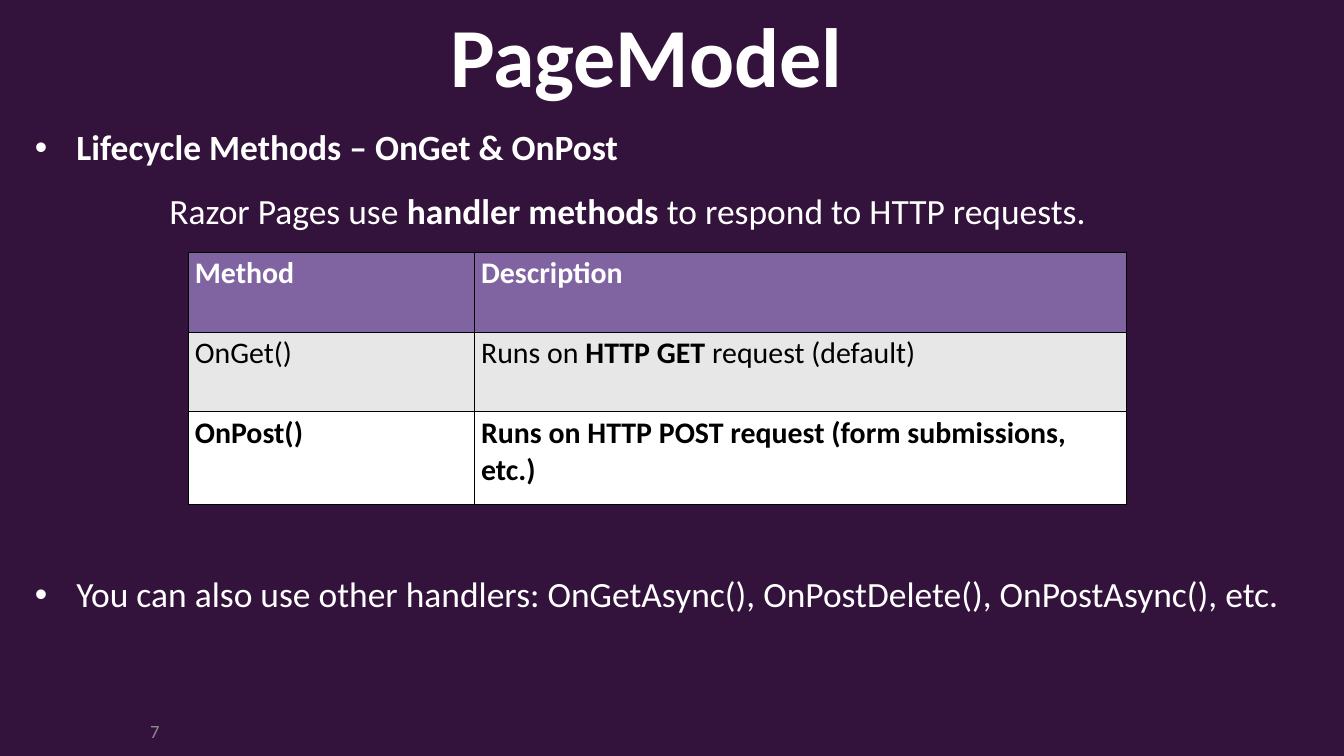
from lxml import etree
from pptx import Presentation
from pptx.dml.color import RGBColor
from pptx.enum import text
from pptx.oxml import ns
from pptx.util import Cm, Pt

FONT = "Calibri"
WHITE = "FFFFFF"
BLACK = "000000"


def color(value):
    return RGBColor.from_string(value)


def add_runs(p, parts, size, ink):
    for words, bold in parts:
        r = p.add_run()
        r.text = words
        r.font.name = FONT
        r.font.size = Pt(size)
        r.font.bold = bold
        r.font.color.rgb = color(ink)


def add_box(s, box, inset=0):
    tf = s.shapes.add_textbox(*map(Cm, box)).text_frame
    tf.word_wrap = True
    tf.margin_left = tf.margin_right = Cm(inset)
    tf.margin_top = tf.margin_bottom = Cm(inset / 2)
    return tf


def set_indent(p, left, hanging=0, bullet=None):
    pPr = p._p.get_or_add_pPr()
    pPr.set("marL", str(Cm(left)))
    pPr.set("indent", str(-Cm(hanging)))
    if bullet:
        etree.SubElement(pPr, ns.qn("a:buFont")).set("typeface", "Arial")
        etree.SubElement(pPr, ns.qn("a:buChar")).set("char", bullet)


def add_title(s, box):
    p = add_box(s, box).paragraphs[0]
    p.alignment = text.PP_ALIGN.CENTER
    add_runs(p, [("PageModel", True)], 90, WHITE)


def add_body(s, box):
    tf = add_box(s, box)
    heading = tf.paragraphs[0]
    heading.line_spacing = 1.5
    set_indent(heading, 1.57, 1.57, "•")
    add_runs(heading, [("Lifecycle Methods – OnGet & OnPost", True)], 38, WHITE)

    intro = tf.add_paragraph()
    intro.line_spacing = 1.5
    set_indent(intro, 5.08)
    add_runs(intro, [("Razor Pages use ", False), ("handler methods", True),
                     (" to respond to HTTP requests.", False)], 38, WHITE)

    others = tf.add_paragraph()
    others.space_before = Pt(365)
    set_indent(others, 1.57, 1.57, "•")
    add_runs(others, [("You can also use other handlers: OnGetAsync(), "
                       "OnPostDelete(), OnPostAsync(), etc.", False)], 38, WHITE)


def add_borders(cell):
    tcPr = cell._tc.get_or_add_tcPr()
    for side in ("lnL", "lnR", "lnT", "lnB"):
        ln = etree.SubElement(tcPr, ns.qn(f"a:{side}"), w=str(Pt(1)))
        fill = etree.SubElement(ln, ns.qn("a:solidFill"))
        etree.SubElement(fill, ns.qn("a:srgbClr"), val=BLACK)


def add_methods_table(s, box):
    rows = [
        ("8064A2", WHITE, 3.02, [[("Method", True)], [("Description", True)]]),
        ("E7E7E7", BLACK, 3.02, [
            [("OnGet()", False)],
            [("Runs on ", False), ("HTTP GET", True), (" request (default)", False)]]),
        (WHITE, BLACK, 3.51, [
            [("OnPost()", True)],
            [("Runs on HTTP POST request (form submissions, etc.)", True)]]),
    ]
    table = s.shapes.add_table(len(rows), 2, *map(Cm, box)).table
    for column, width in zip(table.columns, (10.82, 24.64)):
        column.width = Cm(width)
    for row, (fill, ink, height, contents) in zip(table.rows, rows):
        row.height = Cm(height)
        for cell, parts in zip(row.cells, contents):
            add_borders(cell)
            cell.fill.solid()
            cell.fill.fore_color.rgb = color(fill)
            add_runs(cell.text_frame.paragraphs[0], parts, 32, ink)


def add_slide_number(s, box):
    tf = add_box(s, box, 0.25)
    tf.vertical_anchor = text.MSO_ANCHOR.MIDDLE
    p = tf.paragraphs[0]
    p.alignment = text.PP_ALIGN.RIGHT
    add_runs(p, [("7", False)], 20, "8C8C8C")


def main():
    prs = Presentation()
    prs.slide_width, prs.slide_height = Cm(50.8), Cm(28.58)
    s = prs.slides.add_slide(prs.slide_layouts[6])
    s.background.fill.solid()
    s.background.fill.fore_color.rgb = color("33123B")
    add_body(s, (1.32, 3.94, 49.12, 23.29))
    add_title(s, (2.18, 0.13, 44.5, 3.84))
    add_slide_number(s, (0.36, 27.13, 5.92, 1.02))
    add_methods_table(s, (7.11, 9.53, 35.46, 9.55))
    prs.save("out.pptx")


if __name__ == "__main__":
    main()
